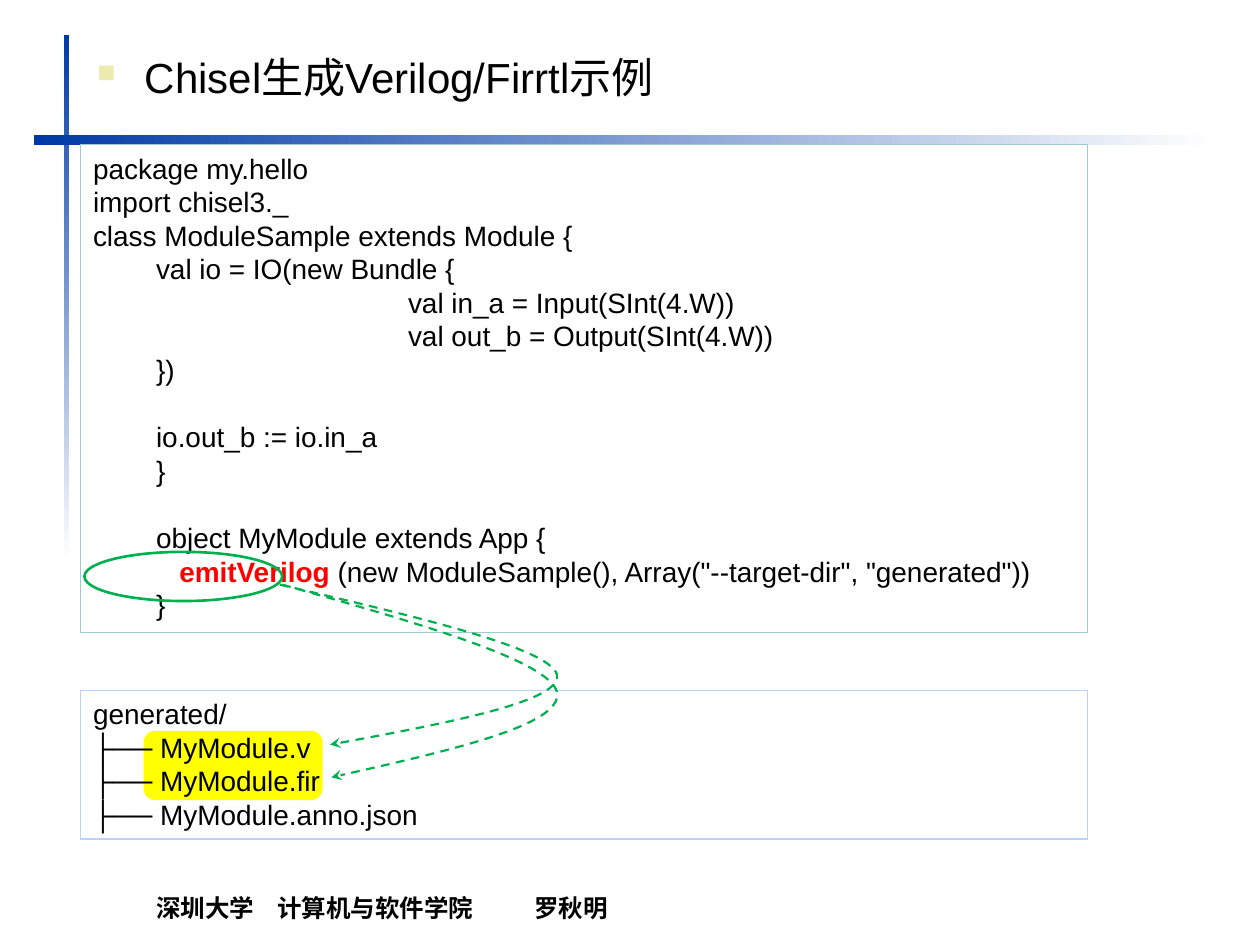
from lxml import etree
from pptx import Presentation
from pptx.dml.color import RGBColor
from pptx.enum.dml import MSO_LINE
from pptx.enum.shapes import MSO_SHAPE
from pptx.enum.text import MSO_ANCHOR, MSO_AUTO_SIZE, PP_ALIGN
from pptx.oxml.ns import qn
from pptx.util import Inches, Pt

RECT, ROUNDED, OVAL = MSO_SHAPE.RECTANGLE, MSO_SHAPE.ROUNDED_RECTANGLE, MSO_SHAPE.OVAL
TOP, BOTTOM = MSO_ANCHOR.TOP, MSO_ANCHOR.BOTTOM
LEFT, NO_FIT, DASH = PP_ALIGN.LEFT, MSO_AUTO_SIZE.NONE, MSO_LINE.DASH

COLORS = {
    "bar": "0039A6", "white": "FFFFFF", "black": "000000", "bullet": "ECEAAC",
    "code_border": "9FCAD3", "files_border": "BAD2FF", "highlight": "FFFF00",
    "mark": "00B050", "call": "FF0000",
}
RGB = {name: RGBColor.from_string(value) for name, value in COLORS.items()}


def add_shape(kind, box, fill=None, line=None, width=0.75):
    shape = slide.shapes.add_shape(kind, *map(Inches, box))
    shape.shadow.inherit = False
    if fill:
        shape.fill.solid()
        shape.fill.fore_color.rgb = RGB[fill]
    else:
        shape.fill.background()
    if line:
        shape.line.color.rgb = RGB[line]
        shape.line.width = Pt(width)
    else:
        shape.line.fill.background()
    return shape


def set_font(paragraph, size, bold=False):
    paragraph.alignment = LEFT
    paragraph.font.name = "Arial"
    paragraph.font.size = Pt(size)
    paragraph.font.bold = bold
    paragraph.font.color.rgb = RGB["black"]


prs = Presentation()
prs.slide_width, prs.slide_height = Inches(10), Inches(7.5)
slide = prs.slides.add_slide(prs.slide_layouts[5])

# Fading bars
for box, angle in [((0.51, 0.28, 0.04, 4.17), 270), ((0.27, 1.07, 9.37, 0.08), 0)]:
    bar = add_shape(RECT, box)
    bar.fill.gradient()
    bar.fill.gradient_angle = angle
    for stop, color, position in zip(bar.fill.gradient_stops, ("bar", "white"), (0, 1)):
        stop.color.rgb = RGB[color]
        stop.position = position

# Footer
footer = slide.shapes.add_textbox(Inches(1.14), Inches(6.98), Inches(9.05), Inches(0.39))
footer.text_frame.word_wrap = True
footer.text_frame.vertical_anchor = BOTTOM
school = footer.text_frame.paragraphs[0]
school.text = "深圳大学\t计算机与软件学院\t罗秋明"
tabs = etree.SubElement(school._p.get_or_add_pPr(), qn("a:tabLst"))
for position in (0.96, 3):
    etree.SubElement(tabs, qn("a:tab"), pos=str(Inches(position)), algn="l")
set_font(school, 14, bold=True)

# Title
title = slide.shapes.title
title.left, title.top, title.width, title.height = map(Inches, (0.67, 0.36, 8.19, 0.71))
title.text_frame.auto_size = NO_FIT
title.text_frame.vertical_anchor = TOP
heading = title.text_frame.paragraphs[0]
heading.text = "Chisel生成Verilog/Firrtl示例"
heading_props = heading._p.get_or_add_pPr()
heading_props.set("marL", str(Inches(0.38)))
heading_props.set("indent", str(Inches(-0.38)))
bullet_color = etree.SubElement(heading_props, qn("a:buClr"))
etree.SubElement(bullet_color, qn("a:srgbClr"), val=COLORS["bullet"])
etree.SubElement(heading_props, qn("a:buSzPct"), val="60000")
etree.SubElement(heading_props, qn("a:buChar"), char="■")
set_font(heading, 24)

# Code and generated files: (indent in inches, blank line above, runs)
CODE = [
    (0, False, ["package my.hello"]),
    (0, False, ["import chisel3._"]),
    (0, False, ["class ModuleSample extends Module {"]),
    (0.5, False, ["val io = IO(new Bundle {"]),
    (0.5, False, ["\t\tval in_a = Input(SInt(4.W))"]),
    (0.5, False, ["\t\tval out_b = Output(SInt(4.W))"]),
    (0.5, False, ["})"]),
    (0.5, True, ["io.out_b := io.in_a"]),
    (0.5, False, ["}"]),
    (0.5, True, ["object MyModule extends App {"]),
    (0.5, False, ["   ", "emitVerilog ",
                  '(new ModuleSample(), Array("--target-dir", "generated"))']),
    (0.5, False, ["}"]),
]
FILES = [(0, False, [text]) for text in (
    "generated/", "├── MyModule.v", "├── MyModule.fir", "├── MyModule.anno.json")]

add_shape(ROUNDED, (1.14, 5.8, 1.42, 0.55), fill="highlight")
for box, border, lines in [
    ((0.64, 1.15, 7.99, 3.87), "code_border", CODE),
    ((0.64, 5.48, 7.99, 1.18), "files_border", FILES),
]:
    frame = add_shape(RECT, box, line=border).text_frame
    frame.word_wrap = True
    frame.vertical_anchor = TOP
    for number, (indent, gap, runs) in enumerate(lines):
        paragraph = frame.add_paragraph() if number else frame.paragraphs[0]
        paragraph_props = paragraph._p.get_or_add_pPr()
        paragraph_props.set("marL", str(Inches(indent)))
        paragraph_props.set("defTabSz", str(Inches(1)))
        if gap:
            paragraph.space_before = Pt(19.2)
        set_font(paragraph, 16)
        for text in runs:
            run = paragraph.add_run()
            run.text = text
            if text.startswith("emitVerilog"):
                run.font.bold = True
                run.font.color.rgb = RGB["call"]

# Call marker and its arrows to the generated files
add_shape(OVAL, (0.67, 4.38, 1.57, 0.39), line="mark", width=1.5)
ARROWS = [
    [(2.22, 4.64), (3.29, 4.89), (4.35, 5.14), (4.42, 5.35),
     (4.48, 5.56), (3.55, 5.74), (2.62, 5.91)],
    [(2.24, 4.64), (3.3, 4.94), (4.35, 5.24), (4.42, 5.49),
     (4.48, 5.75), (3.56, 5.96), (2.63, 6.17)],
]
for points in ARROWS:
    start, *rest = [(Inches(x), Inches(y)) for x, y in points]
    builder = slide.shapes.build_freeform(*start)
    builder.add_line_segments(rest, close=False)
    arrow = builder.convert_to_shape()
    arrow.shadow.inherit = False
    arrow.fill.background()
    arrow.line.color.rgb = RGB["mark"]
    arrow.line.width = Pt(1.25)
    arrow.line.dash_style = DASH
    etree.SubElement(arrow.line._get_or_add_ln(), qn("a:tailEnd"), type="stealth")
    # Each three straight segments become one cubic curve
    segments = list(arrow._element.iter(qn("a:lnTo")))
    path = segments[0].getparent()
    for first in (0, 3):
        curve = etree.SubElement(path, qn("a:cubicBezTo"))
        for segment in segments[first:first + 3]:
            curve.append(segment[0])
            path.remove(segment)

prs.save("out.pptx")
